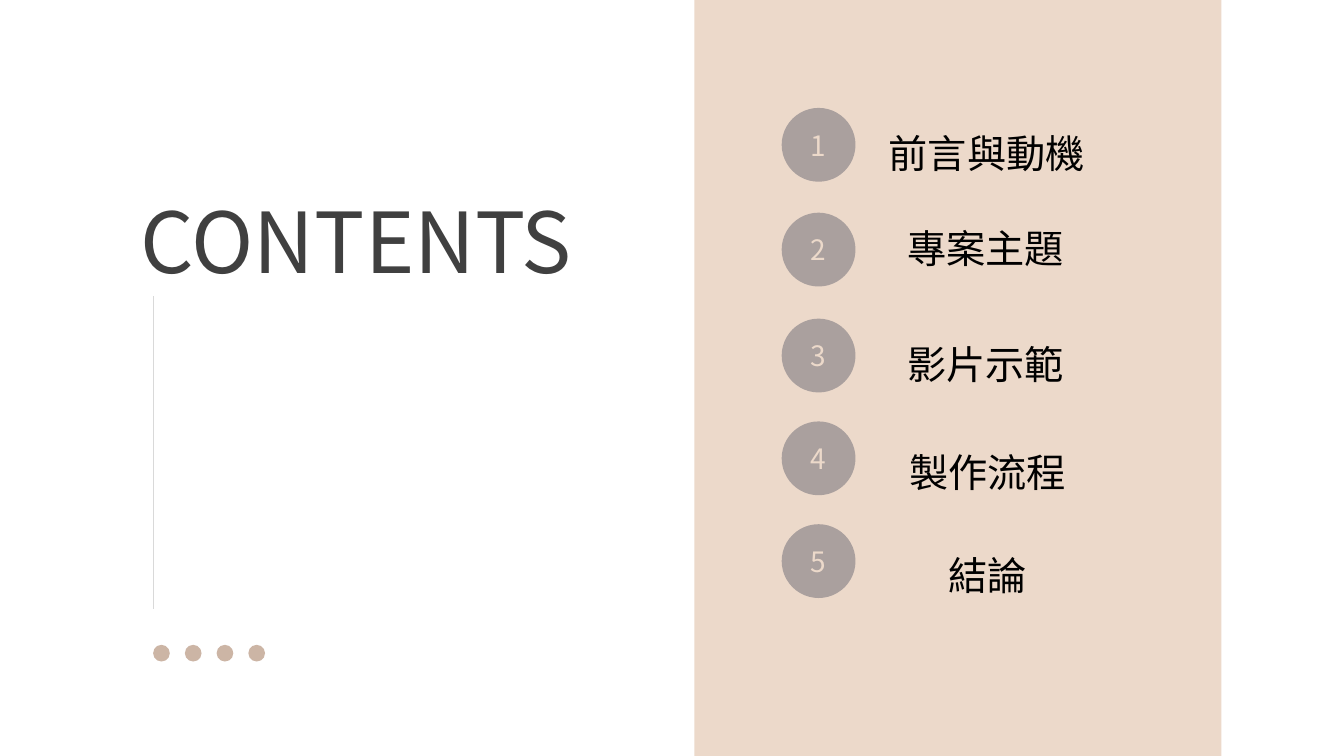
from lxml import etree
from pptx import Presentation
from pptx.dml.color import RGBColor
from pptx.enum.shapes import MSO_CONNECTOR, MSO_SHAPE
from pptx.enum.text import MSO_ANCHOR, MSO_AUTO_SIZE, PP_ALIGN
from pptx.oxml.ns import qn
from pptx.util import Cm, Pt

RECTANGLE, OVAL = MSO_SHAPE.RECTANGLE, MSO_SHAPE.OVAL
STRAIGHT = MSO_CONNECTOR.STRAIGHT
TOP, MIDDLE = MSO_ANCHOR.TOP, MSO_ANCHOR.MIDDLE
CENTER = PP_ALIGN.CENTER
NO_AUTOFIT = MSO_AUTO_SIZE.NONE

FONT = "Noto Sans CJK SC"
COLORS = {
    "panel": "ECD9CA",
    "title": "404040",
    "rule": "D9D9D9",
    "dot": "CCB5A5",
    "badge": "AAA09E",
    "label": "000000",
}


def add_filled_shape(shapes, kind, left, top, width, height, color):
    shape = shapes.add_shape(kind, Cm(left), Cm(top), Cm(width), Cm(height))
    shape.shadow.inherit = False
    shape.fill.solid()
    shape.fill.fore_color.rgb = RGBColor.from_string(COLORS[color])
    shape.line.fill.background()
    return shape


def write_text(shape, text, size, color, anchor, line_spacing=1.0):
    frame = shape.text_frame
    frame.word_wrap = True
    frame.auto_size = NO_AUTOFIT
    frame.vertical_anchor = anchor
    paragraph = frame.paragraphs[0]
    paragraph.alignment = CENTER
    paragraph.line_spacing = line_spacing
    run = paragraph.add_run()
    run.text = text
    run.font.size = Pt(size)
    run.font.color.rgb = RGBColor.from_string(COLORS[color])
    run.font.name = FONT
    # The East Asian typeface has no public setter
    etree.SubElement(run._r.get_or_add_rPr(), qn("a:ea"), typeface=FONT)


presentation = Presentation()
presentation.slide_width = Cm(33.87)
presentation.slide_height = Cm(19.05)
slide = presentation.slides.add_slide(presentation.slide_layouts[5])

# Panel behind the agenda
add_filled_shape(slide.shapes, RECTANGLE, 17.5, 0, 13.28, 19.05, "panel")

# Title
title = slide.shapes.title
title.left, title.top, title.width, title.height = Cm(3.1), Cm(4.65), Cm(11.76), Cm(2.82)
write_text(title, "CONTENTS", 60, "title", TOP)

# Vertical rule under the title
rule = slide.shapes.add_connector(STRAIGHT, Cm(3.86), Cm(7.47), Cm(3.86), Cm(15.34))
rule.line.color.rgb = RGBColor.from_string(COLORS["rule"])
rule.line.width = Pt(0.25)
etree.SubElement(rule._element.spPr, qn("a:effectLst"))

# Row of dots
dots = slide.shapes.add_group_shape()
for index in range(4):
    add_filled_shape(dots.shapes, OVAL, 3.86 + 0.8 * index, 16.25, 0.42, 0.42, "dot")

# Agenda: label, badge top, label left, label top
AGENDA = [
    ("前言與動機", 2.72, 21.54, 2.54),
    ("專案主題", 5.36, 21.51, 4.93),
    ("影片示範", 8.03, 21.51, 7.85),
    ("製作流程", 10.62, 21.56, 10.59),
    ("結論", 13.21, 21.56, 13.18),
]
for number, (text, badge_top, label_left, label_top) in enumerate(AGENDA, start=1):
    item = slide.shapes.add_group_shape()
    badge = add_filled_shape(item.shapes, OVAL, 19.7, badge_top, 1.86, 1.86, "badge")
    write_text(badge, str(number), 20, "panel", MIDDLE)
    label = item.shapes.add_textbox(Cm(label_left), Cm(label_top), Cm(6.65), Cm(1.85))
    write_text(label, text, 28, "label", TOP, line_spacing=1.5)

presentation.save("out.pptx")
